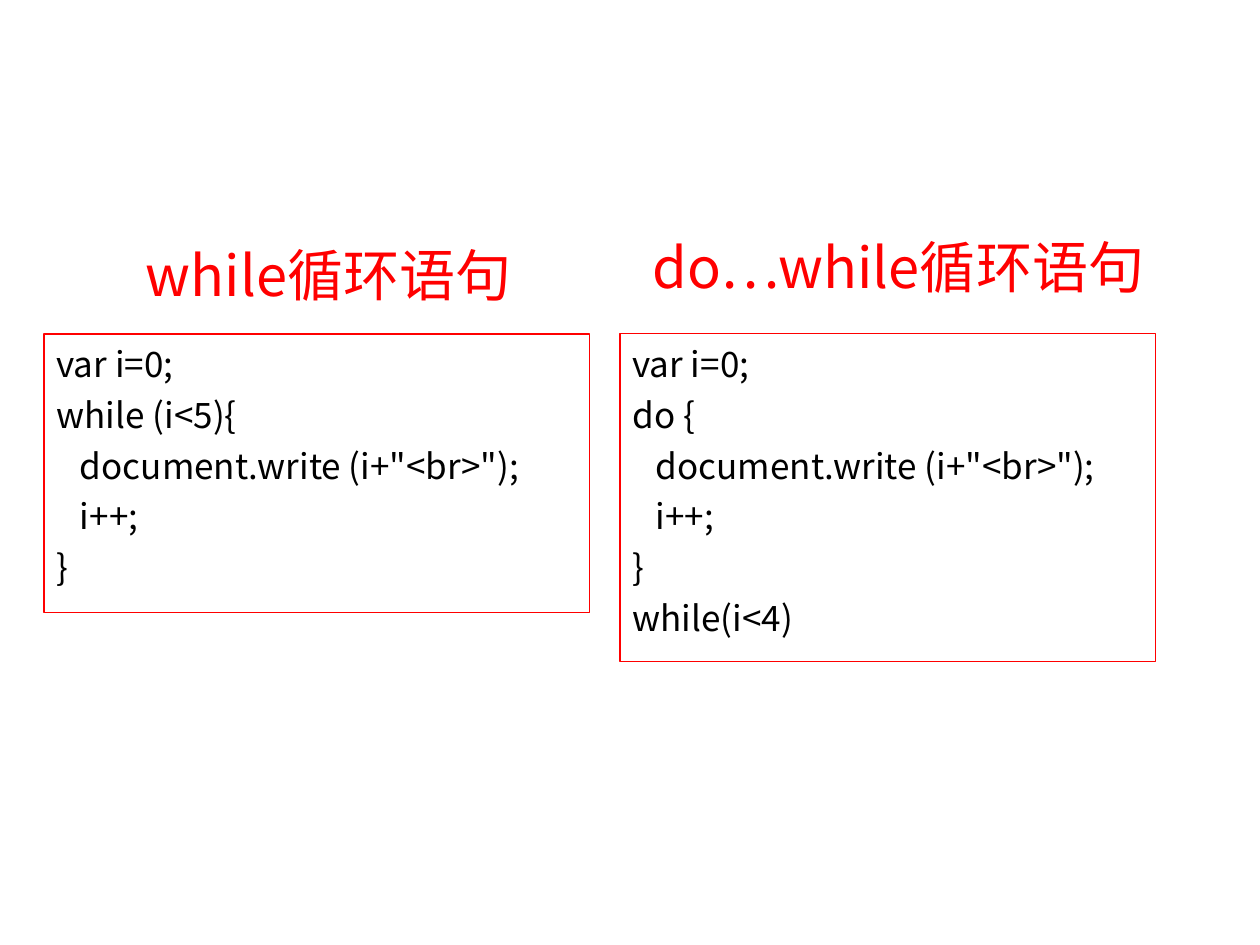
from dataclasses import dataclass

from lxml.etree import SubElement
from pptx import Presentation
from pptx.dml.color import RGBColor as Rgb
from pptx.enum.shapes import MSO_SHAPE as Shape
from pptx.enum.text import MSO_ANCHOR as Anchor, PP_ALIGN as Align
from pptx.oxml.ns import qn
from pptx.util import Inches, Pt


@dataclass(frozen=True)
class Theme:
    font: str = "Noto Sans CJK SC"
    accent: Rgb = Rgb(0xFF, 0x00, 0x00)
    ink: Rgb = Rgb(0x00, 0x00, 0x00)
    heading_size: int = 32
    code_size: int = 20
    code_leading: int = 24
    code_gap: int = 5
    border: float = 0.75


class LoopSlide:
    """Draws headings and framed code listings on one slide in a shared theme."""

    def __init__(self, slide, theme):
        self.slide = slide
        self.theme = theme

    def style(self, paragraph, size, color):
        paragraph.alignment = Align.LEFT
        for run in paragraph.runs:
            run.font.size = Pt(size)
            run.font.name = self.theme.font
            run.font.color.rgb = color
            SubElement(run.font._element, qn("a:ea"), typeface=self.theme.font)

    def heading(self, wording, left, top, width, height):
        title = self.slide.shapes.add_textbox(*map(Inches, (left, top, width, height)))
        frame = title.text_frame
        frame.word_wrap = True
        frame.vertical_anchor = Anchor.MIDDLE
        frame.text = wording
        self.style(frame.paragraphs[0], self.theme.heading_size, self.theme.accent)

    def listing(self, code, left, top, width, height):
        panel = self.slide.shapes.add_shape(
            Shape.RECTANGLE, *map(Inches, (left, top, width, height)))
        panel.shadow.inherit = False
        panel.fill.background()
        panel.line.color.rgb = self.theme.accent
        panel.line.width = Pt(self.theme.border)
        frame = panel.text_frame
        frame.word_wrap = True
        frame.vertical_anchor = Anchor.TOP
        frame.margin_top = Inches(0.07)
        frame.text = code
        for number, statement in enumerate(frame.paragraphs):
            statement.line_spacing = Pt(self.theme.code_leading)
            statement.space_before = Pt(self.theme.code_gap if number else 0)
            self.style(statement, self.theme.code_size, self.theme.ink)


WHILE_CODE = """var i=0;
while (i<5){
   document.write (i+"<br>");
   i++;
}"""

DO_WHILE_CODE = """var i=0;
do {
   document.write (i+"<br>");
   i++;
}
while(i<4)"""


def main():
    deck = Presentation()
    deck.slide_width, deck.slide_height = Inches(10), Inches(7.5)
    loops = LoopSlide(deck.slides.add_slide(deck.slide_layouts[6]), Theme())
    loops.heading("while循环语句", 1.06, 1.62, 4.02, 1.11)
    loops.listing(WHILE_CODE, 0.35, 2.65, 4.33, 2.21)
    loops.heading("do…while循环语句", 5.08, 1.56, 4.45, 1.11)
    loops.listing(DO_WHILE_CODE, 4.92, 2.65, 4.25, 2.6)
    deck.save("out.pptx")


if __name__ == "__main__":
    main()
